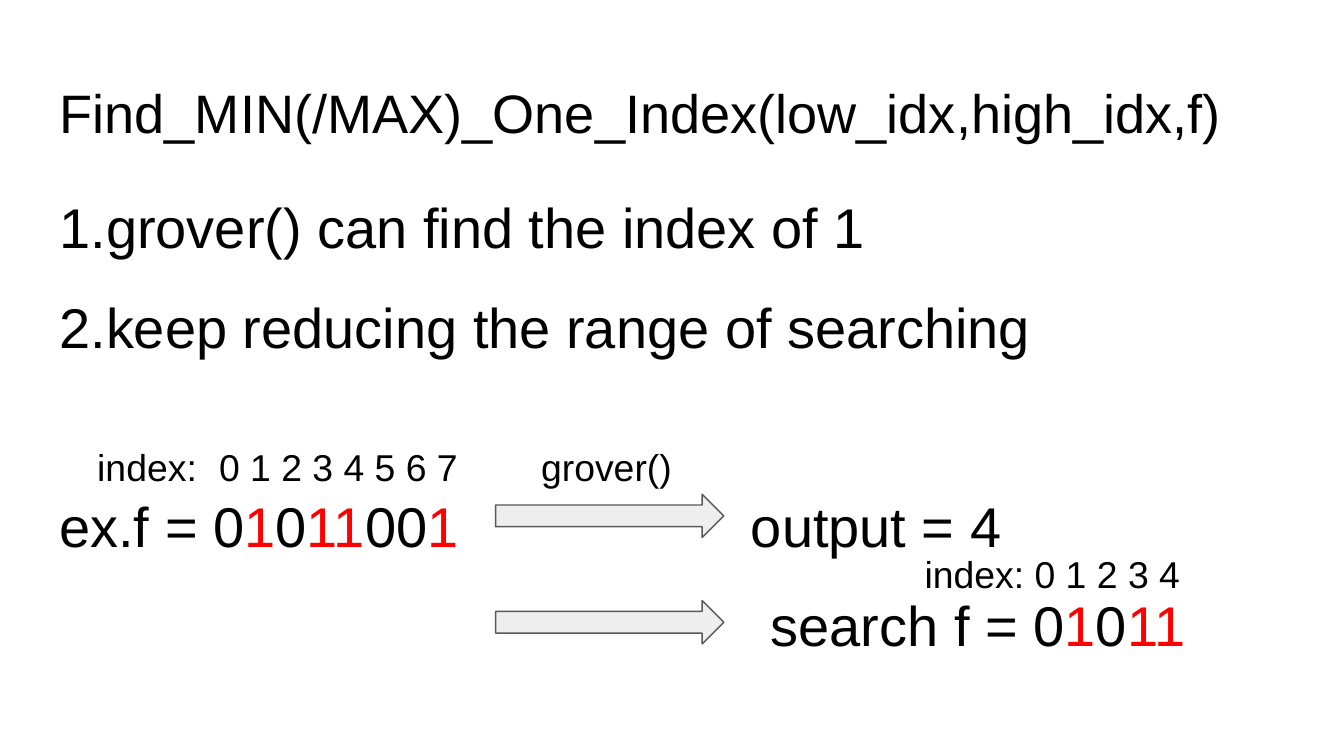
"""Build the slide on searching for the lowest or highest index of a one."""
from dataclasses import dataclass

from lxml.etree import SubElement
from pptx import Presentation
from pptx.dml.color import RGBColor
from pptx.enum.shapes import MSO_SHAPE
from pptx.enum.text import MSO_ANCHOR, MSO_AUTO_SIZE, PP_ALIGN
from pptx.oxml.ns import qn
from pptx.util import Pt


@dataclass(frozen=True)
class Theme:
    font: str = "Arial"
    ink: RGBColor = RGBColor(0, 0, 0)
    one: RGBColor = RGBColor(255, 0, 0)
    arrow_fill: RGBColor = RGBColor(0xEE, 0xEE, 0xEE)
    arrow_line: RGBColor = RGBColor(0x59, 0x59, 0x59)
    title_size: int = 29
    body_size: int = 30
    label_size: int = 20


THEME = Theme()
PX = 9525


def prepare_frame(frame, autosize=MSO_AUTO_SIZE.NONE):
    frame.word_wrap = True
    frame.auto_size = autosize
    frame.vertical_anchor = MSO_ANCHOR.TOP
    frame.margin_left = frame.margin_right = Pt(7.2)
    frame.margin_top = frame.margin_bottom = Pt(7.2)


def write_runs(paragraph, runs, size, tabs=()):
    paragraph.alignment = PP_ALIGN.LEFT
    for text, color in runs:
        run = paragraph.add_run()
        run.text = text
        run.font.name = THEME.font
        run.font.size = Pt(size)
        run.font.color.rgb = color
    if tabs:
        stops = SubElement(paragraph._p.get_or_add_pPr(), qn("a:tabLst"))
        for stop in tabs:
            SubElement(stops, qn("a:tab"), pos=str(stop * PX), algn="l")


deck = Presentation()
deck.slide_width, deck.slide_height = 960 * PX, 540 * PX
slide = deck.slides.add_slide(deck.slide_layouts[5])

heading = slide.shapes.title
heading.left, heading.top, heading.width, heading.height = 33 * PX, 47 * PX, 895 * PX, 60 * PX
prepare_frame(heading.text_frame)
write_runs(
    heading.text_frame.paragraphs[0],
    [("Find_MIN(/MAX)_One_Index(low_idx,high_idx,f)", THEME.ink)],
    THEME.title_size,
)

explanation = slide.shapes.add_textbox(33 * PX, 121 * PX, 895 * PX, 359 * PX).text_frame
prepare_frame(explanation)
ink, one = THEME.ink, THEME.one
steps = [
    ([("1.grover() can find the index of 1", ink)], 0, ()),
    ([("2.keep reducing the range of searching", ink)], 12, ()),
    (
        [("ex.f = 0", ink), ("1", one), ("0", ink), ("11", one), ("00", ink),
         ("1", one), ("\toutput = 4", ink)],
        65,
        (494,),
    ),
    ([("\tsearch f = 0", ink), ("1", one), ("0", ink), ("11", one)], 12, (508,)),
]
for number, (runs, space_before, tabs) in enumerate(steps):
    step = explanation.add_paragraph() if number else explanation.paragraphs[0]
    step.line_spacing = 1.15
    step.space_before = Pt(space_before)
    write_runs(step, runs, THEME.body_size, tabs)

index_labels = [
    (33, 308, 609, "\tindex:\t0 1 2 3 4 5 6 7\tgrover()", (27, 114, 344)),
    (624, 384, 262, "\tindex: 0 1 2 3 4", (27,)),
]
for left, top, width, text, tabs in index_labels:
    index_label = slide.shapes.add_textbox(left * PX, top * PX, width * PX, 52 * PX).text_frame
    prepare_frame(index_label, MSO_AUTO_SIZE.SHAPE_TO_FIT_TEXT)
    write_runs(index_label.paragraphs[0], [(text, ink)], THEME.label_size, tabs)

for top in (353, 429):
    search_arrow = slide.shapes.add_shape(
        MSO_SHAPE.RIGHT_ARROW, 354 * PX, top * PX, 163 * PX, 31 * PX
    )
    search_arrow.shadow.inherit = False
    search_arrow.fill.solid()
    search_arrow.fill.fore_color.rgb = THEME.arrow_fill
    search_arrow.line.color.rgb = THEME.arrow_line
    search_arrow.line.width = Pt(0.75)

deck.save("out.pptx")
